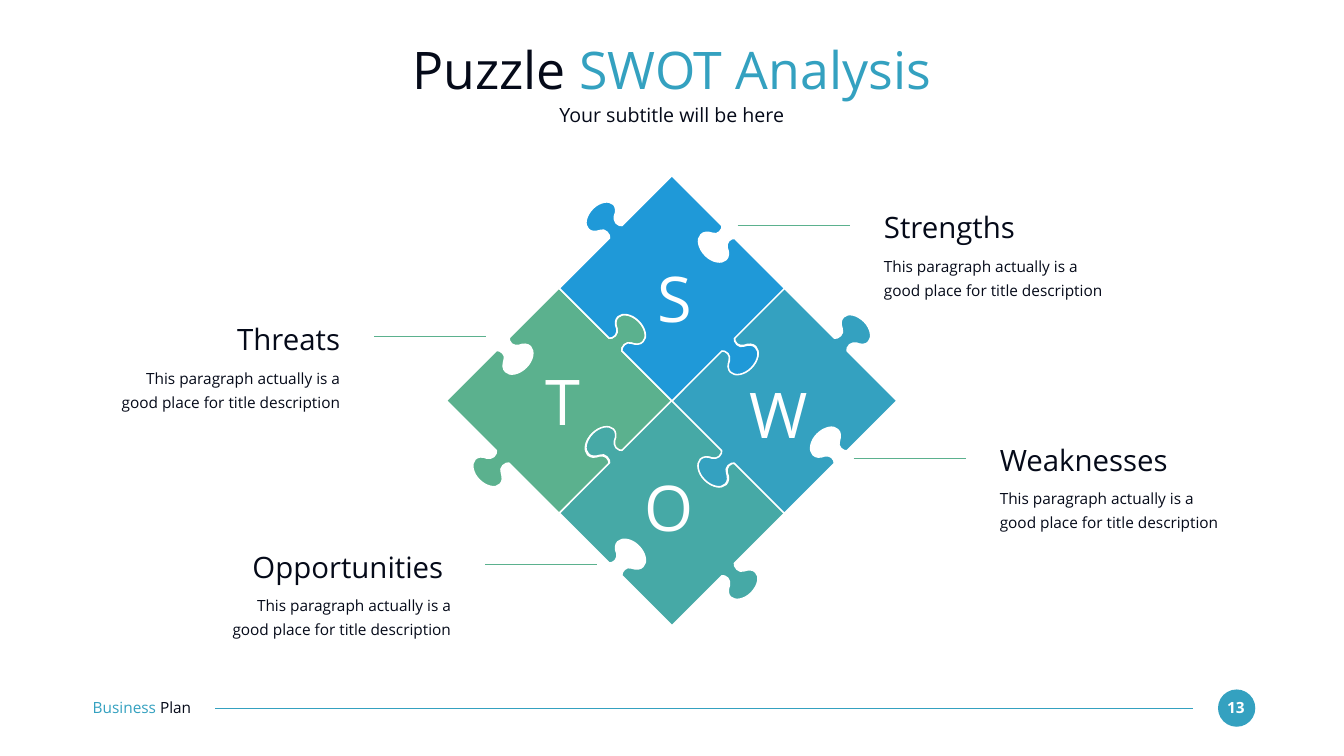
import pptx
import pptx.dml.color
import pptx.enum.shapes
import pptx.enum.text
import pptx.oxml.ns
import pptx.util
from lxml import etree

RGBColor = pptx.dml.color.RGBColor
Align = pptx.enum.text.PP_ALIGN

EMU_PER_PX = 9144
FONT = "Open Sans"
INK = RGBColor(0x05, 0x0A, 0x19)
WHITE = RGBColor(0xFF, 0xFF, 0xFF)
TEAL = RGBColor(0x34, 0xA1, 0xC0)
BLUE = RGBColor(0x1F, 0x99, 0xD8)
GREEN = RGBColor(0x5B, 0xB1, 0x8E)
SEA = RGBColor(0x46, 0xA9, 0xA6)

DESCRIPTION = "This paragraph actually is a good place for title description"
CALLOUT_WIDTH = 454
RULE_WIDTH = 222
RULE_GAP = 68

HALF = 223.5
KNOB_START = (99, 99)
KNOB_CURVES = [
    [(102, 100), (107, 98), (111, 94)],
    [(114, 90), (115, 85), (114, 80)],
    [(110, 71), (111, 62), (116, 57)],
    [(125, 48), (144, 52), (157, 65)],
    [(171, 79), (175, 98), (166, 106)],
    [(161, 112), (152, 112), (143, 109)],
    [(138, 107), (133, 108), (129, 112)],
    [(125, 116), (123, 121), (124, 124)],
]
SIDE = [KNOB_START] + [point for curve in KNOB_CURVES for point in curve] + [(HALF, HALF)]
SIDE_SIGNS = [(1, 1), (1, -1), (-1, -1), (-1, 1)]

PIECES = [
    ("T", GREEN, 886, 795, True, 1012, 719),
    ("O", SEA, 1110, 1018, False, 1222, 930),
    ("W", TEAL, 1333, 795, True, 1440, 744),
    ("S", BLUE, 1110, 572, False, 1235, 514),
]
CALLOUTS = [
    ("Threats", 221, 637, 668, Align.RIGHT),
    ("Opportunities ", 441, 1088, 1120, Align.RIGHT),
    ("Strengths", 1754, 415, 448, Align.LEFT),
    ("Weaknesses", 1984, 876, 910, Align.LEFT),
]


def px(length):
    """Turn px into EMU."""
    return pptx.util.Emu(round(length * EMU_PER_PX))


def write_text(shape, text, size, color=INK, bold=False, align=Align.LEFT,
               spacing=1.0, accents=None):
    """Fill a shape with a paragraph; text is a string or a list of parts, accents their colours."""
    frame = shape.text_frame
    frame.word_wrap = True
    frame.auto_size = pptx.enum.text.MSO_AUTO_SIZE.NONE
    frame.vertical_anchor = pptx.enum.text.MSO_ANCHOR.MIDDLE
    frame.margin_left = frame.margin_right = frame.margin_top = frame.margin_bottom = 0
    paragraph = frame.paragraphs[0]
    paragraph.alignment = align
    paragraph.line_spacing = spacing
    parts = [text] if isinstance(text, str) else text
    for part, part_color in zip(parts, accents or [color]):
        run = paragraph.add_run()
        run.text = part
        run.font.name = FONT
        run.font.size = pptx.util.Pt(size)
        run.font.bold = bold
        run.font.color.rgb = part_color


def add_text(slide, left, top, width, height, text, size, **formatting):
    """Add a text box with formatted text."""
    box = slide.shapes.add_textbox(px(left), px(top), px(width), px(height))
    write_text(box, text, size, **formatting)


def add_rule(slide, left, right, y, color):
    """Add a thin horizontal line."""
    line = slide.shapes.add_connector(
        pptx.enum.shapes.MSO_CONNECTOR.STRAIGHT, px(left), px(y), px(right), px(y))
    line.line.color.rgb = color
    line.line.width = pptx.util.Pt(1.5)
    properties = line._element.spPr
    etree.SubElement(properties, pptx.oxml.ns.qn("a:effectLst"))


def curve_knobs(shape):
    """Turn each three points of a knob into one cubic curve."""
    segments = list(shape._element.iter(pptx.oxml.ns.qn("a:lnTo")))
    for side_start in range(0, len(segments), len(SIDE)):
        knob = segments[side_start + 1:side_start + len(SIDE) - 1]
        for index in range(0, len(knob), 3):
            curve = etree.Element(pptx.oxml.ns.qn("a:cubicBezTo"))
            knob[index].addprevious(curve)
            for segment in knob[index:index + 3]:
                curve.append(segment[0])
                segment.getparent().remove(segment)


def add_piece(slide, left, middle, color, turned):
    """Add a puzzle piece whose four sides mirror one side."""
    side = [(y, x) if turned else (x, y) for x, y in SIDE]
    corner_x, corner_y = left, middle
    outline = []
    for sign_x, sign_y in SIDE_SIGNS:
        outline += [(px(corner_x + sign_x * x), px(corner_y + sign_y * y)) for x, y in side]
        corner_x += sign_x * HALF
        corner_y += sign_y * HALF
    builder = slide.shapes.build_freeform(px(left), px(middle), scale=1.0)
    builder.add_line_segments(outline, close=True)
    shape = builder.convert_to_shape()
    curve_knobs(shape)
    shape.shadow.inherit = False
    shape.fill.solid()
    shape.fill.fore_color.rgb = color
    shape.line.color.rgb = WHITE
    shape.line.width = pptx.util.Pt(2.25)


def add_callout(slide, heading, left, top, rule_y, align):
    """Add a heading, its description and a rule towards the puzzle."""
    add_text(slide, left, top, CALLOUT_WIDTH, 71, heading, 42, align=align)
    add_text(slide, left, top + 85, CALLOUT_WIDTH, 92, DESCRIPTION, 22,
             align=align, spacing=1.3)
    if align == Align.RIGHT:
        rule_left = left + CALLOUT_WIDTH + RULE_GAP
    else:
        rule_left = left - RULE_GAP - RULE_WIDTH
    add_rule(slide, rule_left, rule_left + RULE_WIDTH, rule_y, GREEN)


def add_header(slide):
    """Place the title and the subtitle."""
    title = slide.shapes.title
    title.left, title.top, title.width, title.height = px(183), px(73), px(2300), px(127)
    write_text(title, ["Puzzle ", "SWOT Analysis"], 74, align=Align.CENTER,
               accents=[INK, TEAL])
    add_text(slide, 183, 203, 2300, 49, "Your subtitle will be here", 28, align=Align.CENTER)


def add_footer(slide):
    """Add the footer label, rule and page number."""
    badge = slide.shapes.add_shape(
        pptx.enum.shapes.MSO_SHAPE.OVAL, px(2417), px(1368), px(74), px(74))
    badge.shadow.inherit = False
    badge.fill.solid()
    badge.fill.fore_color.rgb = TEAL
    badge.line.fill.background()
    add_text(slide, 2423, 1385, 59, 37, "13", 22, color=WHITE, bold=True, align=Align.CENTER)
    add_rule(slide, 427, 2367, 1405, TEAL)
    add_text(slide, 184, 1384, 259, 37, ["Business ", "Plan"], 22, accents=[TEAL, INK])


def main():
    """Build and save the slide."""
    presentation = pptx.Presentation()
    presentation.slide_width, presentation.slide_height = px(2667), px(1500)
    slide = presentation.slides.add_slide(presentation.slide_layouts[5])
    add_footer(slide)
    add_header(slide)
    for letter, color, left, middle, turned, letter_x, letter_y in PIECES:
        add_piece(slide, left, middle, color, turned)
    for callout in CALLOUTS:
        add_callout(slide, *callout)
    for letter, color, left, middle, turned, letter_x, letter_y in PIECES:
        add_text(slide, letter_x, letter_y, 210, 151, letter, 90, color=WHITE,
                 align=Align.CENTER)
    presentation.save("out.pptx")


if __name__ == "__main__":
    main()
